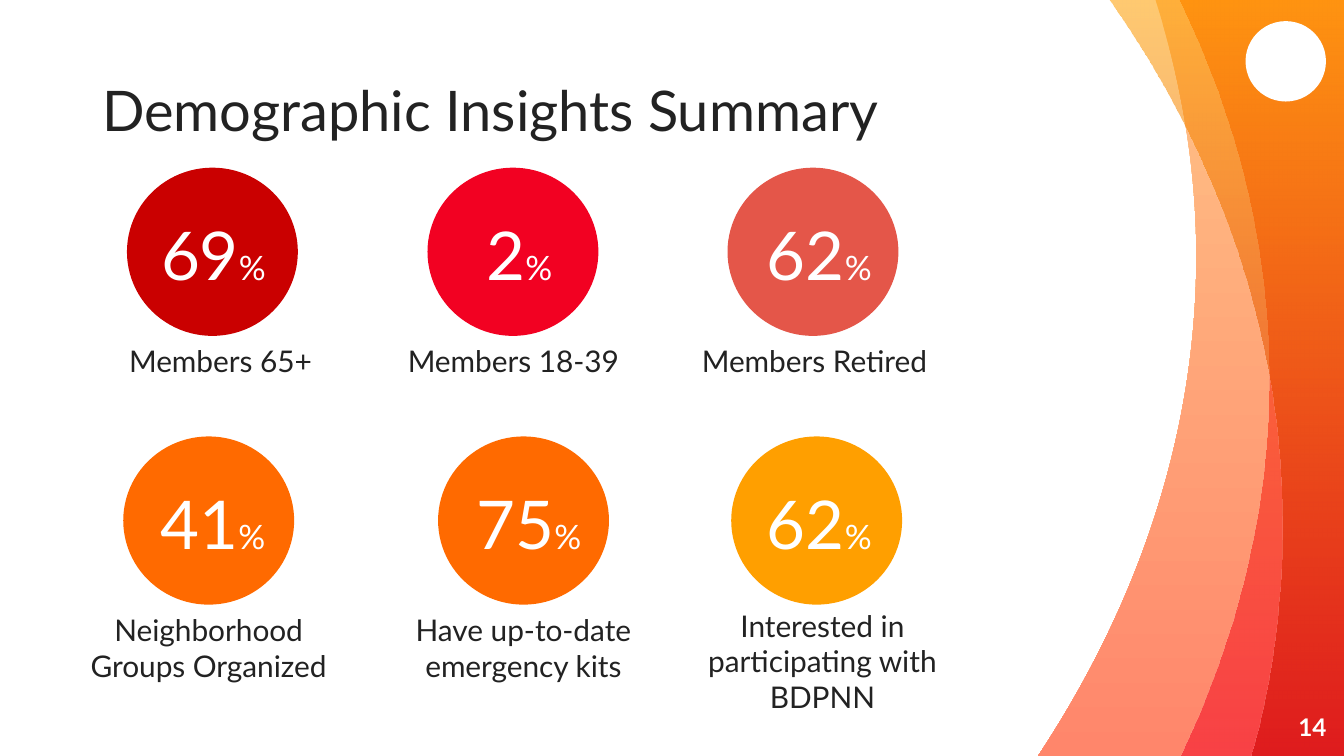
from lxml import etree
from pptx import Presentation
from pptx.dml.color import RGBColor
from pptx.enum.shapes import MSO_SHAPE
from pptx.enum.text import MSO_ANCHOR, MSO_AUTO_SIZE, PP_ALIGN
from pptx.oxml.ns import qn
from pptx.util import Cm, Pt

ELLIPSE = MSO_SHAPE.OVAL
LEFT, CENTER, RIGHT = PP_ALIGN.LEFT, PP_ALIGN.CENTER, PP_ALIGN.RIGHT
TOP, MIDDLE, BOTTOM = MSO_ANCHOR.TOP, MSO_ANCHOR.MIDDLE, MSO_ANCHOR.BOTTOM
NO_AUTOFIT = MSO_AUTO_SIZE.NONE

FONT = "Lato"
TITLE_ONLY_LAYOUT = 5
SLIDE_WIDTH, SLIDE_HEIGHT = 25.4, 14.29
CIRCLE_WIDTH, CIRCLE_HEIGHT = 3.23, 3.18

COLORS = {
    "white": "FFFFFF",
    "text": "222222",
    "dark red": "CA0000",
    "red": "F20122",
    "coral": "E45649",
    "orange": "FF6A00",
    "amber": "FF9F00",
    "peach": "FFC486",
    "salmon": "FF866B",
    "crimson": "CC0000",
}

# Left edge of each band as two joined Bezier curves, then (color, opacity %) at top and bottom
BANDS = [
    ([(2.26, 0), (2.75, 1.55), (3.03, 3.18), (3.03, 4.85), (3.03, 8.23), (1.93, 11.43), (0.04, 14.29)],
     [("peach", 100), ("salmon", 100)]),
    ([(2.72, 0), (3.81, 2.26), (4.4, 4.67), (4.4, 7.16), (4.4, 9.68), (3.79, 12.09), (2.75, 14.29)],
     [("orange", 71), ("red", 51)]),
    ([(1.38, 0), (3.48, 3.02), (4.65, 6.38), (4.65, 9.93), (4.65, 11.43), (4.45, 12.9), (4.05, 14.29)],
     [("amber", 56), ("crimson", 57)]),
]

# Circle left and top, color, number, number shift, caption, caption box relative to the circle
STATISTICS = [
    (2.4, 3.17, "dark red", "69", 0.02, "Members 65+", (-1, 3.31, 5.54, 0.84)),
    (8.08, 3.17, "red", "2", 0.12, "Members 18-39", (-0.99, 3.31, 5.23, 0.84)),
    (13.75, 3.17, "coral", "62", 0.12, "Members Retired", (-1.2, 3.31, 5.69, 0.84)),
    (2.33, 8.25, "orange", "41", 0.08, "Neighborhood Groups Organized", (-1, 3.32, 5.23, 0.84)),
    (8.28, 8.25, "orange", "75", 0.1, "Have up-to-date emergency kits", (-1, 3.32, 5.23, 1.75)),
    (13.82, 8.25, "amber", "62", 0.05, "Interested in participating with BDPNN",
     (-1.27, 3.23, 5.99, 0.84)),
]


def rgb(name):
    return RGBColor.from_string(COLORS[name])


def format_run(run, size, color, bold=False):
    run.font.name = FONT
    run.font.size = Pt(size)
    run.font.bold = bold
    run.font.color.rgb = rgb(color)


def format_text(shape, size, color, align, anchor, bold=False):
    frame = shape.text_frame
    frame.auto_size = NO_AUTOFIT
    frame.word_wrap = True
    frame.margin_left = frame.margin_right = frame.margin_top = frame.margin_bottom = 0
    frame.vertical_anchor = anchor
    paragraph = frame.paragraphs[0]
    paragraph.alignment = align
    for run in paragraph.runs:
        format_run(run, size, color, bold)


def add_text(slide, box, text, size, color, align, anchor, bold=False):
    shape = slide.shapes.add_textbox(*map(Cm, box))
    shape.text_frame.text = text
    format_text(shape, size, color, align, anchor, bold)
    return shape


def add_circle(slide, box, color):
    circle = slide.shapes.add_shape(ELLIPSE, *map(Cm, box))
    circle.shadow.inherit = False
    circle.fill.solid()
    circle.fill.fore_color.rgb = rgb(color)
    circle.line.fill.background()


def curve_segments(shape, curve_count):
    """Turn the first straight segments, three at a time, into Bezier curves."""
    lines = list(shape.element.spPr.iter(qn("a:lnTo")))
    for first in range(0, curve_count * 3, 3):
        group = lines[first:first + 3]
        curve = etree.Element(qn("a:cubicBezTo"))
        group[0].addprevious(curve)
        for line in group:
            curve.append(line[0])
            line.getparent().remove(line)


def fill_gradient(shape, stops):
    shape.fill.gradient()
    shape.fill.gradient_angle = 270
    for stop, (color, opacity) in zip(shape.fill.gradient_stops, stops):
        stop.color.rgb = rgb(color)
    for element, (color, opacity) in zip(shape.element.spPr.iter(qn("a:srgbClr")), stops):
        if opacity < 100:
            etree.SubElement(element, qn("a:alpha"), val=str(opacity * 1000))


def add_band(slide, box, edge, stops):
    left, top, width, height = box
    points = [*edge, (width, height), (width, 0)]
    corners = [(Cm(left + x), Cm(top + y)) for x, y in points]
    builder = slide.shapes.build_freeform(*corners[0])
    builder.add_line_segments(corners[1:], close=True)
    band = builder.convert_to_shape()
    curve_segments(band, 2)
    band.shadow.inherit = False
    band.line.fill.background()
    fill_gradient(band, stops)


def add_side_decoration(slide, box):
    left, top = box[:2]
    for edge, stops in BANDS:
        add_band(slide, box, edge, stops)
    add_circle(slide, (left + 3.96, top + 0.4, 1.52, 1.52), "white")
    add_text(slide, (left + 3.97, top + 13.19, 1.52, 1.09), "14", 13, "white",
             RIGHT, MIDDLE, bold=True)


def place_title(slide, box):
    title = slide.shapes.title
    title.left, title.top, title.width, title.height = map(Cm, box)
    title.text_frame.text = "Demographic Insights Summary"
    format_text(title, 30, "text", LEFT, BOTTOM)


def add_statistic(slide, box, color, number, shift, caption, caption_box):
    left, top, width, height = box
    add_circle(slide, box, color)

    # Large number with a small percent sign
    value = add_text(slide, (left + shift, top + 0.79, width, 1.6), number, 36, "white",
                     CENTER, BOTTOM)
    percent = value.text_frame.paragraphs[0].add_run()
    percent.text = "%"
    format_run(percent, 18, "white")

    # Caption below the circle
    x, y, caption_width, caption_height = caption_box
    add_text(slide, (left + x, top + y, caption_width, caption_height), caption, 16, "text",
             CENTER, TOP)


def main():
    presentation = Presentation()
    presentation.slide_width = Cm(SLIDE_WIDTH)
    presentation.slide_height = Cm(SLIDE_HEIGHT)
    slide = presentation.slides.add_slide(presentation.slide_layouts[TITLE_ONLY_LAYOUT])

    add_side_decoration(slide, (19.58, 0, 5.82, SLIDE_HEIGHT))
    place_title(slide, (1.93, 0.64, 16.76, 2.06))
    for left, top, *details in STATISTICS:
        add_statistic(slide, (left, top, CIRCLE_WIDTH, CIRCLE_HEIGHT), *details)

    presentation.save("out.pptx")


if __name__ == "__main__":
    main()
